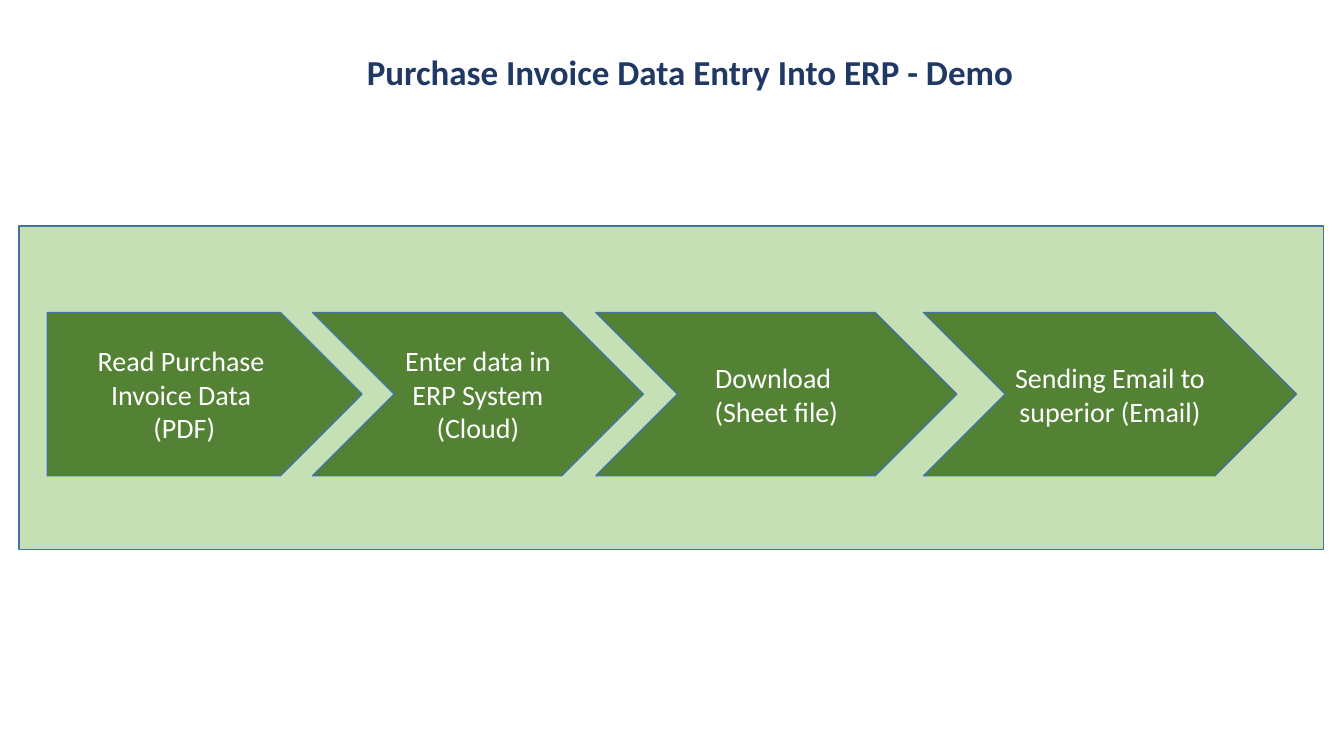
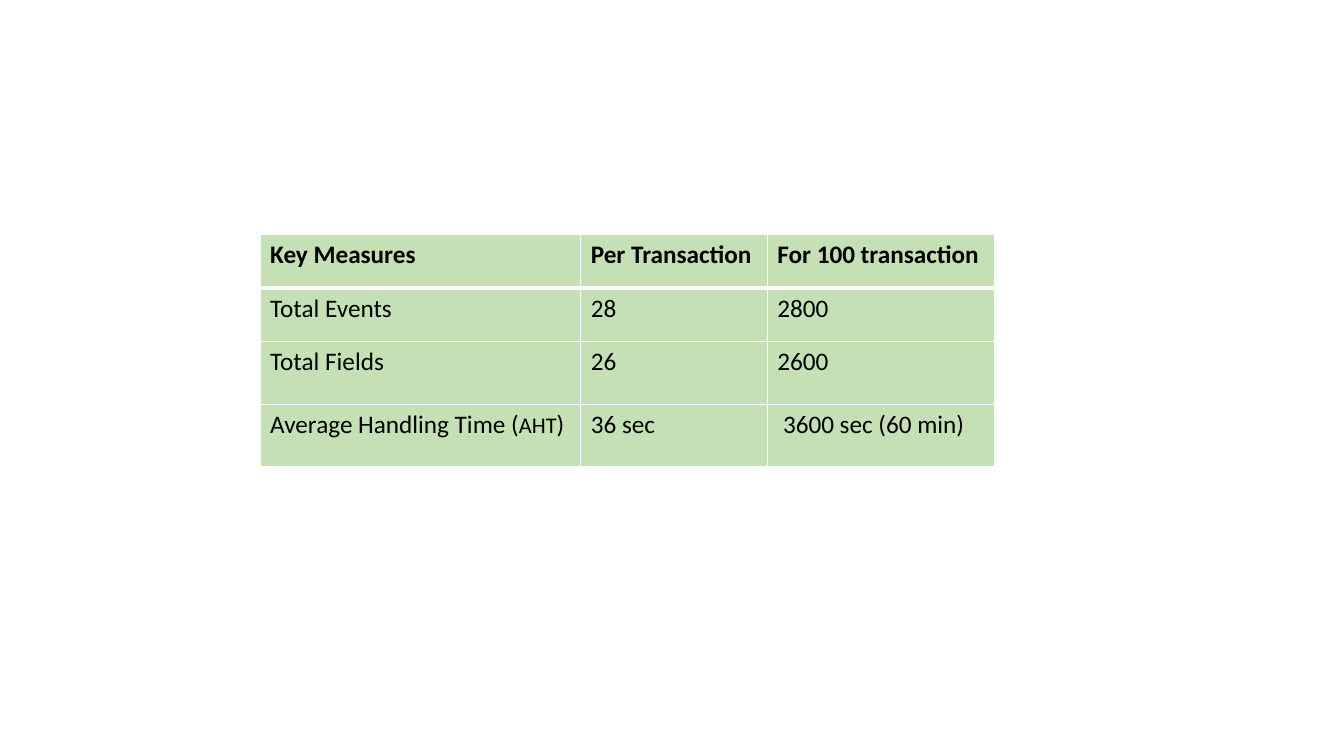
"""Build a two-slide deck: an invoice process flow and its key measures."""
from lxml import etree
from pptx import Presentation
from pptx.dml.color import RGBColor
from pptx.enum import shapes, text
from pptx.oxml import ns
from pptx.util import Inches, Pt

FONT = "Calibri"
HEX = {"pale": "C5E0B4", "green": "548235", "edge": "43739E",
       "navy": "203864", "white": "FFFFFF", "black": "000000"}
KIND = shapes.MSO_SHAPE

TITLE = "Purchase Invoice Data Entry Into ERP - Demo"
STEPS = [
    (KIND.PENTAGON, 0.47, 3.12, "Read Purchase \vInvoice Data \v(PDF)"),
    (KIND.CHEVRON, 3.1, 3.28, "Enter data in ERP System\n(Cloud)"),
    (KIND.CHEVRON, 5.91, 3.58, "Download \n(Sheet file)"),
    (KIND.CHEVRON, 9.16, 3.7, "Sending Email to superior (Email)"),
]
ROWS = [
    ("Key Measures", "Per Transaction", "For 100 transaction"),
    ("Total Events", "28", "2800"),
    ("Total Fields", "26", "2600"),
    (("Average Handling Time (", "AHT", ")"), "36 sec", " 3600 sec (60 min)"),
]
WIDE = (3.18, 1.85, 2.25)
HIGH = (0.53, 0.53, 0.62, 0.62)


def color(name):
    return RGBColor.from_string(HEX[name])


def style(run, size, tint, bold=False):
    run.font.name, run.font.size, run.font.bold = FONT, Pt(size), bold
    run.font.color.rgb = color(tint)


def block(slide, kind, box, fill, words=""):
    shape = slide.shapes.add_shape(kind, *map(Inches, box))
    shape.shadow.inherit = False
    shape.fill.solid()
    shape.fill.fore_color.rgb = color(fill)
    shape.line.color.rgb = color("edge")
    shape.line.width = Pt(1)
    if words:
        frame = shape.text_frame
        frame.text = words
        frame.vertical_anchor = text.MSO_ANCHOR.MIDDLE
        for para in frame.paragraphs:
            para.alignment = text.PP_ALIGN.CENTER
            for run in para.runs:
                style(run, 20, "white")


def title(slide, words):
    box = slide.shapes.add_textbox(*map(Inches, (3.54, 0.45, 7.13, 0.52)))
    frame = box.text_frame
    frame.word_wrap = True
    frame.text = words
    style(frame.paragraphs[0].runs[0], 25, "navy", True)


def border(cell, sides):
    props = cell._tc.get_or_add_tcPr()
    for spot, (side, width) in enumerate(sides.items()):
        line = etree.Element(ns.qn("a:ln" + side), w=str(Pt(width)))
        fill = etree.SubElement(line, ns.qn("a:solidFill"))
        etree.SubElement(fill, ns.qn("a:srgbClr"), val=HEX["white"])
        props.insert(spot, line)


def flow(slide):
    block(slide, KIND.RECTANGLE, (0.19, 2.24, 12.94, 3.21), "pale")
    for kind, left, width, words in STEPS:
        block(slide, kind, (left, 3.1, width, 1.62), "green", words)
    title(slide, TITLE)


def measures(slide):
    box = (2.58, 2.33, sum(WIDE), sum(HIGH))
    grid = slide.shapes.add_table(len(ROWS), len(WIDE), *map(Inches, box)).table
    for col, width in zip(grid.columns, WIDE):
        col.width = Inches(width)
    for r, (row, height) in enumerate(zip(ROWS, HIGH)):
        grid.rows[r].height = Inches(height)
        for c, words in enumerate(row):
            cell = grid.cell(r, c)
            cell.fill.solid()
            cell.fill.fore_color.rgb = color("pale")
            border(cell, {"L": 1, "R": 1, "T": 3 if r == 1 else 1,
                          "B": 3 if r == 0 else 1})
            para = cell.text_frame.paragraphs[0]
            for part in (words,) if isinstance(words, str) else words:
                run = para.add_run()
                run.text = part
                style(run, 16 if part == "AHT" else 18, "black", r == 0)


def main():
    deck = Presentation()
    deck.slide_width, deck.slide_height = Inches(13.33), Inches(7.5)
    for draw in (flow, measures):
        draw(deck.slides.add_slide(deck.slide_layouts[6]))
    deck.save("out.pptx")


if __name__ == "__main__":
    main()
